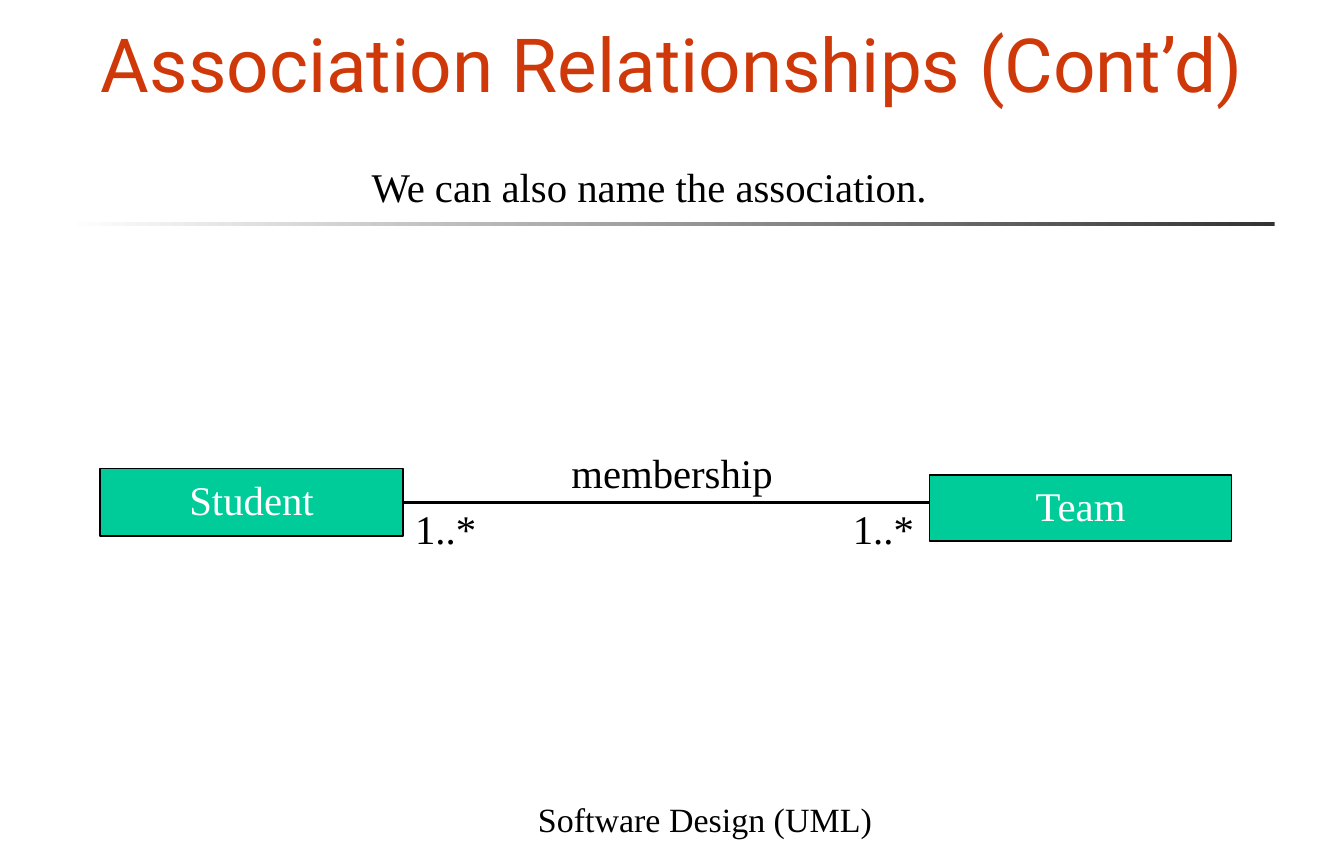
from pptx import Presentation
from pptx.dml.color import RGBColor
from pptx.enum.shapes import MSO_CONNECTOR, MSO_SHAPE
from pptx.enum.text import MSO_ANCHOR, PP_ALIGN
from pptx.oxml.ns import qn
from pptx.util import Cm, Pt
from lxml.etree import SubElement

BLACK = RGBColor(0x00, 0x00, 0x00)
WHITE = RGBColor(0xFF, 0xFF, 0xFF)
GREEN = RGBColor(0x00, 0xCC, 0x99)
ORANGE = RGBColor(0xCF, 0x38, 0x09)
CHARCOAL = RGBColor(0x33, 0x33, 0x33)
SERIF = "Times New Roman"

deck = Presentation()
deck.slide_width = Cm(27.94)
deck.slide_height = Cm(17.78)
page = deck.slides.add_slide(deck.slide_layouts[6])


def write(box, text, align, spacing, anchor, font=SERIF, size=24, color=BLACK):
    box.text_frame.vertical_anchor = anchor
    paragraph = box.text_frame.paragraphs[0]
    paragraph.text = text
    paragraph.alignment = align
    paragraph.line_spacing = spacing
    paragraph.font.name = font
    paragraph.font.size = Pt(size)
    paragraph.font.color.rgb = color


def add_class(name, left, top, width, height):
    box = page.shapes.add_shape(
        MSO_SHAPE.RECTANGLE, Cm(left), Cm(top), Cm(width), Cm(height))
    box.shadow.inherit = False
    box.fill.solid()
    box.fill.fore_color.rgb = GREEN
    box.line.color.rgb = BLACK
    box.line.width = Pt(0.75)
    box.text_frame.word_wrap = False
    write(box, name, PP_ALIGN.CENTER, 0.9, MSO_ANCHOR.MIDDLE, color=WHITE)
    return box


rule = page.shapes.add_shape(
    MSO_SHAPE.RECTANGLE, Cm(1.35), Cm(4.62), Cm(25.15), Cm(0.08))
rule.shadow.inherit = False
rule.line.fill.background()
rule.fill.gradient()
rule.fill.gradient_angle = 180
for stop, color in zip(rule.fill.gradient_stops, (CHARCOAL, WHITE)):
    stop.color.rgb = color

student = add_class("Student", 2.08, 9.75, 6.3, 1.4)
association = page.shapes.add_connector(
    MSO_CONNECTOR.STRAIGHT, Cm(8.38), Cm(10.45), Cm(19.56), Cm(10.45))
association.begin_connect(student, 3)
association.line.color.rgb = BLACK
association.line.width = Pt(2.25)
SubElement(association._element.spPr, qn("a:effectLst"))
add_class("Team", 19.33, 9.88, 6.27, 1.37)

title = page.shapes.add_textbox(Cm(1.85), Cm(0.99), Cm(24.69), Cm(1.37))
title.text_frame.word_wrap = True
write(title, "Association Relationships (Cont’d)", PP_ALIGN.LEFT, 1.02,
      MSO_ANCHOR.BOTTOM, "Roboto", 44, ORANGE)

footer = page.shapes.add_textbox(Cm(10.24), Cm(16.38), Cm(8.84), Cm(1.19))
footer.text_frame.word_wrap = True
write(footer, "Software Design (UML)", PP_ALIGN.CENTER, 1.0,
      MSO_ANCHOR.BOTTOM, size=20)

labels = [
    ("We can also name the association.", 4.65, 3.35, 17.7, PP_ALIGN.CENTER),
    ("membership", 11.63, 9.3, 5.36, PP_ALIGN.LEFT),
    ("1..*", 8.38, 10.46, 2.34, PP_ALIGN.LEFT),
    ("1..*", 17.48, 10.46, 2.08, PP_ALIGN.LEFT),
]
for text, left, top, width, align in labels:
    label = page.shapes.add_textbox(Cm(left), Cm(top), Cm(width), Cm(1.17))
    label.text_frame.word_wrap = True
    write(label, text, align, 0.9, MSO_ANCHOR.TOP)

deck.save("out.pptx")
